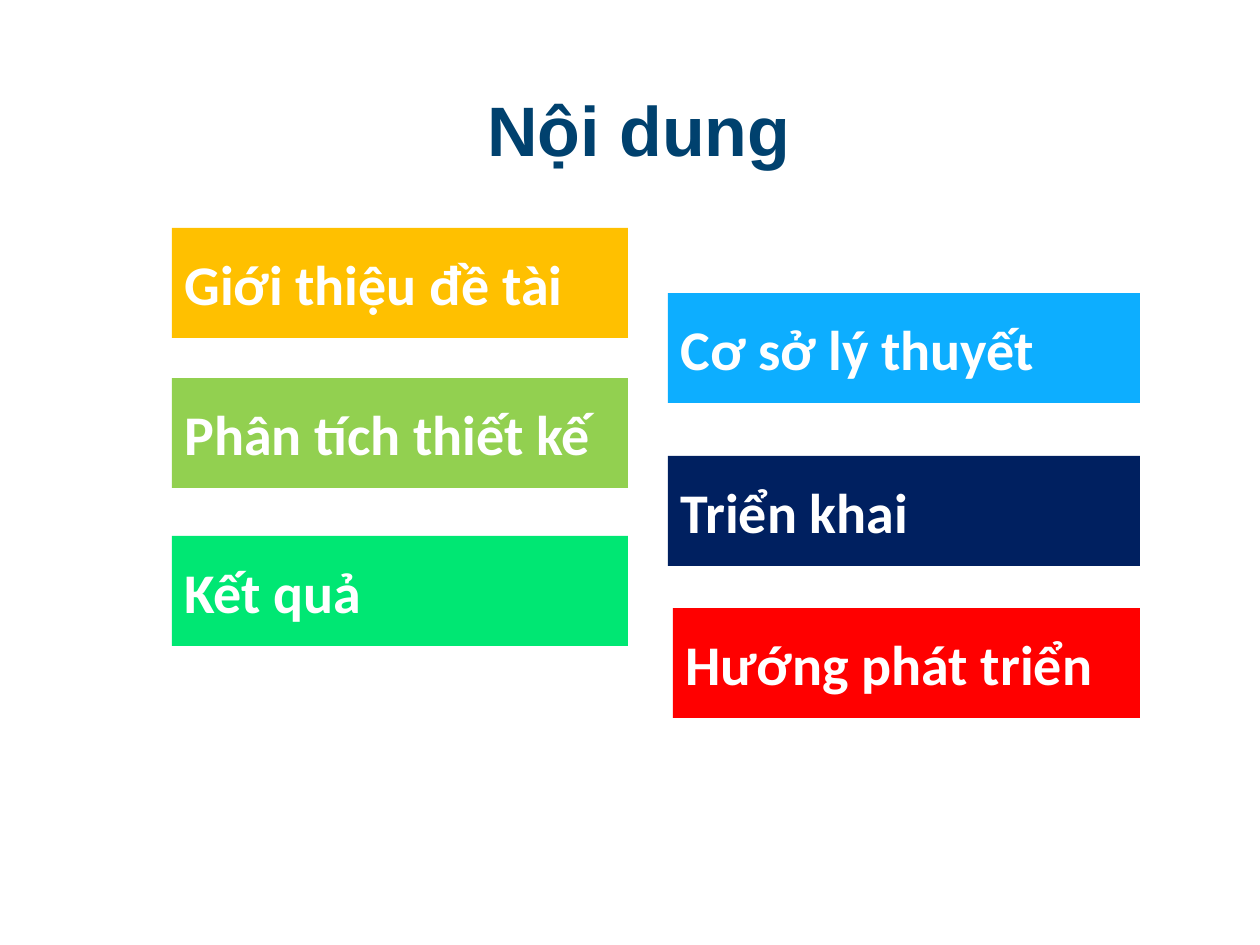
import pptx
import pptx.util
from pptx.dml.color import RGBColor
from pptx.enum.shapes import MSO_SHAPE
from pptx.enum.text import MSO_ANCHOR, MSO_AUTO_SIZE, PP_ALIGN
from dataclasses import dataclass

TITLE = "Nội dung"
TITLE_AREA = (475, 80, 328, 97)

# Each topic: wording, fill, top; each column: left, right, topics
COLUMNS = [
    (172, 628, [
        ("Giới thiệu đề tài", "FFC000", 228),
        ("Phân tích thiết kế", "92D050", 378),
        ("Kết quả", "00E773", 536),
    ]),
    (668, 1140, [
        ("Cơ sở lý thuyết", "0DAEFF", 293),
        ("Triển khai", "002060", 456),
        ("Hướng phát triển", "FF0000", 608),
    ]),
]
TOPIC_HEIGHT = 110
LEFT_INSETS = {"Hướng phát triển": 5}


@dataclass(frozen=True)
class Theme:
    title_font: str = "Arial"
    title_size: int = 40
    title_color: str = "00416E"
    topic_font: str = "Calibri"
    topic_size: int = 32
    topic_color: str = "FFFFFF"


THEME = Theme()
PX_PER_INCH = 126


def px(length):
    return pptx.util.Emu(round(length * pptx.util.Inches(1) / PX_PER_INCH))


def write(box, text, align, font, size, color):
    para = box.text_frame.paragraphs[0]
    para.alignment = align
    span = para.add_run()
    span.text = text
    span.font.name = font
    span.font.size = pptx.util.Pt(size)
    span.font.bold = True
    span.font.color.rgb = RGBColor.from_string(color)


def add_title(page):
    box = page.shapes.title
    box.left, box.top, box.width, box.height = map(px, TITLE_AREA)
    frame = box.text_frame
    frame.margin_left = frame.margin_right = 0
    frame.word_wrap = True
    frame.auto_size = MSO_AUTO_SIZE.NONE
    frame.vertical_anchor = MSO_ANCHOR.TOP
    write(box, TITLE, PP_ALIGN.CENTER,
          THEME.title_font, THEME.title_size, THEME.title_color)


def add_topic(page, text, fill, left, top, width):
    box = page.shapes.add_shape(
        MSO_SHAPE.RECTANGLE, px(left), px(top), px(width), px(TOPIC_HEIGHT))
    box.shadow.inherit = False
    box.fill.solid()
    box.fill.fore_color.rgb = RGBColor.from_string(fill)
    box.line.fill.background()
    box.text_frame.word_wrap = True
    box.text_frame.vertical_anchor = MSO_ANCHOR.MIDDLE
    write(box, text, PP_ALIGN.LEFT,
          THEME.topic_font, THEME.topic_size, THEME.topic_color)


def main():
    deck = pptx.Presentation()
    deck.slide_width, deck.slide_height = px(1260), px(945)
    page = deck.slides.add_slide(deck.slide_layouts.get_by_name("Title Only"))
    add_title(page)
    for column_left, right, topics in COLUMNS:
        for text, fill, top in topics:
            left = column_left + LEFT_INSETS.get(text, 0)
            add_topic(page, text, fill, left, top, right - left)
    deck.save("out.pptx")


if __name__ == "__main__":
    main()
